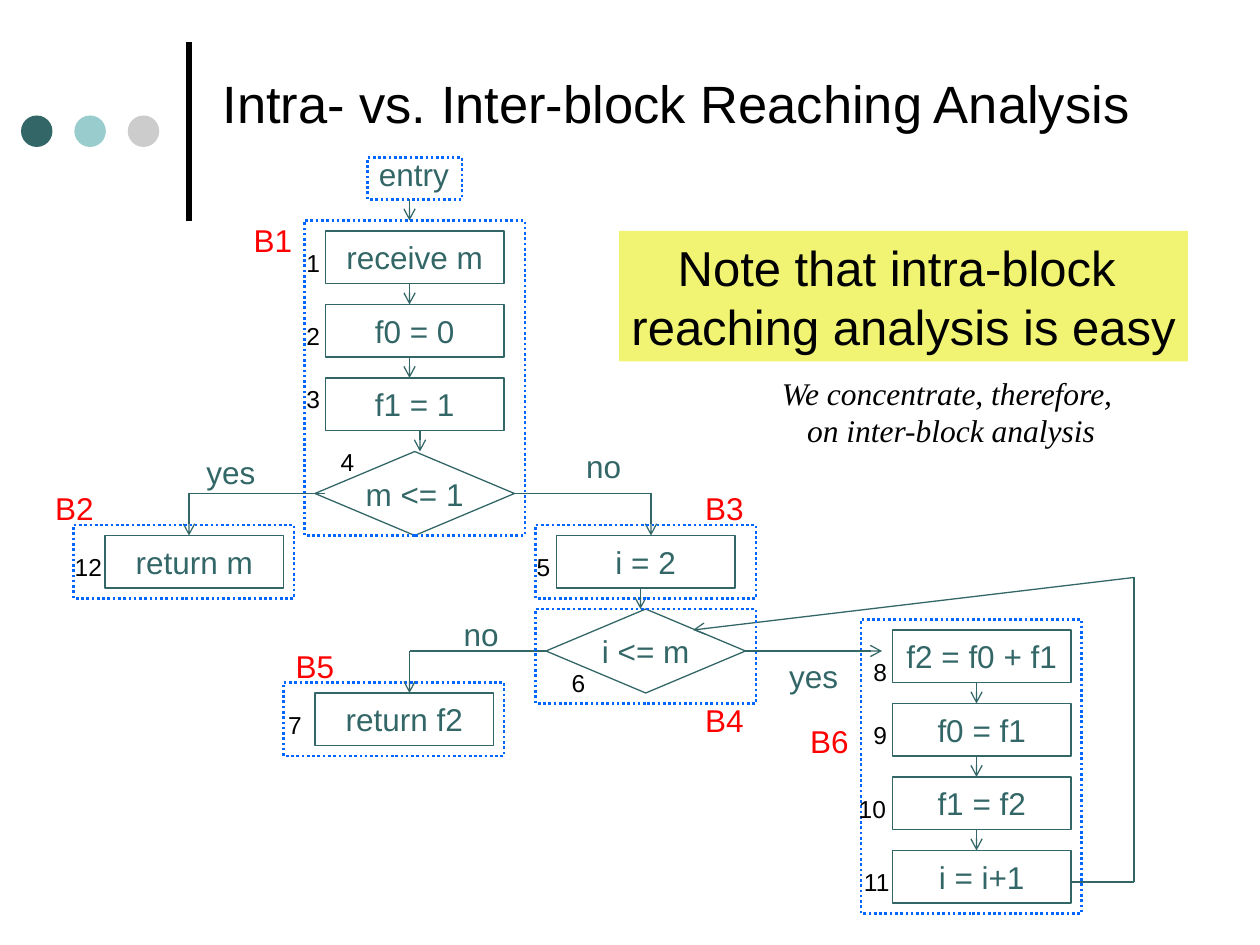
"""Build the slide on intra- and inter-block reaching analysis."""
from pptx import Presentation
from pptx.dml.color import RGBColor
from pptx.enum.dml import MSO_LINE
from pptx.enum.shapes import MSO_CONNECTOR, MSO_SHAPE
from pptx.enum.text import MSO_ANCHOR, MSO_AUTO_SIZE, PP_ALIGN
from pptx.oxml.ns import qn
from pptx.util import Pt
from lxml.etree import SubElement

TITLE = "Intra- vs. Inter-block Reaching Analysis"
TEAL, BLUE, RED, BLACK = "336666", "0066FF", "FF0000", "000000"
STEP, GAP = 42, 12
NODE, RHOMB = (102, 30), (114, 48)

DOTS = [TEAL, "99CCCC", "CCCCCC"]
STACKS = [
    (186, 132, ["receive m", "f0 = 0", "f1 = 1"]),
    (60, 306, ["return m"]),
    (318, 306, ["i = 2"]),
    (180, 396, ["return f2"]),
    (510, 360, ["f2 = f0 + f1", "f0 = f1", "f1 = f2", "i = i+1"]),
]
TESTS = [("m <= 1", 180, 258), ("i <= m", 312, 348)]
FRAMES = [
    (174, 126, 126, 180), (42, 300, 126, 42), (306, 300, 126, 42),
    (162, 390, 126, 42), (306, 348, 126, 54), (492, 354, 126, 168),
    (210, 90, 54, 24),
]
ROUTES = [
    [(186, 282), (108, 282), (108, 306)],
    [(294, 282), (372, 282), (372, 306)],
    [(312, 372), (234, 372), (234, 396)],
    [(426, 372), (504, 372)],
    [(612, 504), (648, 504), (648, 330), (396, 360)],
]
DROPS = [(234, 114), (234, 162), (234, 204), (240, 246), (366, 336),
         (558, 390), (558, 432), (558, 474)]
WORDS = [("yes", 110, 255.5, 44), ("no", 327, 252, 36),
         ("no", 257, 348, 36), ("yes", 443, 372, 44),
         ("entry", 207.5, 85, 58)]
STEPS = [(167, 138), (167, 180), (167, 216), (186.5, 252), (298.5, 312),
         (318.5, 378), (156.5, 402), (491, 372), (491, 408), (482, 450),
         (484.5, 492), (34, 312)]
BLOCKS = [(136.5, 123), (23, 276), (394.5, 276), (394.5, 397), (160.5, 366),
          (454.5, 409)]
NOTE = ["Note that intra-block ", "reaching analysis is easy"]
ASIDE = ["We concentrate, therefore, ", "on inter-block analysis"]


def tint(code):
    """Turn a hex string into a colour."""
    return RGBColor.from_string(code)


def assign(item, **vals):
    """Set each given value on the item."""
    for name, val in vals.items():
        setattr(item, name, val)


def write(shape, lines, size, color, face="Arial", align=PP_ALIGN.CENTER,
          italic=False, **frame):
    """Fill a shape with formatted lines of text."""
    text = shape.text_frame
    look = {"word_wrap": False, "auto_size": MSO_AUTO_SIZE.NONE,
            "margin_left": Pt(7.2), "margin_right": Pt(7.2),
            "margin_top": Pt(3.6), "margin_bottom": Pt(3.6)}
    assign(text, **{**look, **frame})
    text.text = "\n".join(lines)
    for para in text.paragraphs:
        para.alignment = align
        for run in para.runs:
            assign(run.font, name=face, size=Pt(size), bold=False,
                   italic=italic)
            run.font.color.rgb = tint(color)


def draw(slide, kind, area, fill=None, line=None, width=0.75, dash=None):
    """Add a preset shape."""
    shape = slide.shapes.add_shape(kind, *map(Pt, area))
    shape.shadow.inherit = False
    if fill:
        shape.fill.solid()
        shape.fill.fore_color.rgb = tint(fill)
    else:
        shape.fill.background()
    if line:
        shape.line.color.rgb = tint(line)
        assign(shape.line, width=Pt(width), dash_style=dash)
    else:
        shape.line.fill.background()
    return shape


def label(slide, lines, area, size, color, **look):
    """Add a text box that fits its text."""
    box = slide.shapes.add_textbox(*map(Pt, area))
    write(box, lines, size, color,
          auto_size=MSO_AUTO_SIZE.SHAPE_TO_FIT_TEXT, **look)


def link(slide, start, end, color=TEAL, width=0.75, arrow=False):
    """Add a straight line, with an arrowhead at its end if asked."""
    wire = slide.shapes.add_connector(MSO_CONNECTOR.STRAIGHT,
                                      *map(Pt, start + end))
    wire.line.color.rgb = tint(color)
    wire.line.width = Pt(width)
    if arrow:
        SubElement(wire.line._get_or_add_ln(), qn("a:tailEnd"), type="arrow")
    SubElement(wire._element.spPr, qn("a:effectLst"))


def main():
    """Lay out the flow graph and save it."""
    deck = Presentation()
    assign(deck, slide_width=Pt(720), slide_height=Pt(540))
    slide = deck.slides.add_slide(deck.slide_layouts[5])

    title = slide.shapes.title
    assign(title, left=Pt(120), top=Pt(15), width=Pt(552), height=Pt(87))
    write(title, [TITLE], 30, BLACK, align=PP_ALIGN.LEFT, word_wrap=True,
          vertical_anchor=MSO_ANCHOR.MIDDLE)
    link(slide, (108, 126), (108, 24), BLACK, 3)
    for i, color in enumerate(DOTS):
        draw(slide, MSO_SHAPE.OVAL, (12 + 30.5 * i, 66, 18, 18), color)

    nodes = [(MSO_SHAPE.RECTANGLE, word, (x, y + STEP * i) + NODE)
             for x, y, names in STACKS for i, word in enumerate(names)]
    nodes += [(MSO_SHAPE.DIAMOND, word, (x, y) + RHOMB)
              for word, x, y in TESTS]
    for kind, word, area in nodes:
        write(draw(slide, kind, area, line=TEAL), [word], 18, TEAL,
              vertical_anchor=MSO_ANCHOR.MIDDLE)

    for route in ROUTES + [[(x, y), (x, y + GAP)] for x, y in DROPS]:
        for start, end in zip(route, route[1:]):
            link(slide, start, end, arrow=end == route[-1])
    for area in FRAMES:
        draw(slide, MSO_SHAPE.RECTANGLE, area, line=BLUE, width=1.5,
             dash=MSO_LINE.ROUND_DOT)

    for word, x, y, wide in WORDS:
        label(slide, [word], (x, y, wide, 29), 18, TEAL)
    for i, (x, y) in enumerate(STEPS, 1):
        label(slide, [str(i)], (x, y, 24 if i < 10 else 33, 24.5), 14, BLACK)
    for i, (x, y) in enumerate(BLOCKS, 1):
        label(slide, [f"B{i}"], (x, y, 39, 29), 18, RED)

    note = draw(slide, MSO_SHAPE.RECTANGLE, (353.75, 132, 325, 74.5),
                "F1F472")
    write(note, NOTE, 28, BLACK, vertical_anchor=MSO_ANCHOR.TOP)
    label(slide, ASIDE, (438, 210, 211, 50.5), 18, BLACK,
          face="Times New Roman", italic=True)
    deck.save("out.pptx")


if __name__ == "__main__":
    main()
